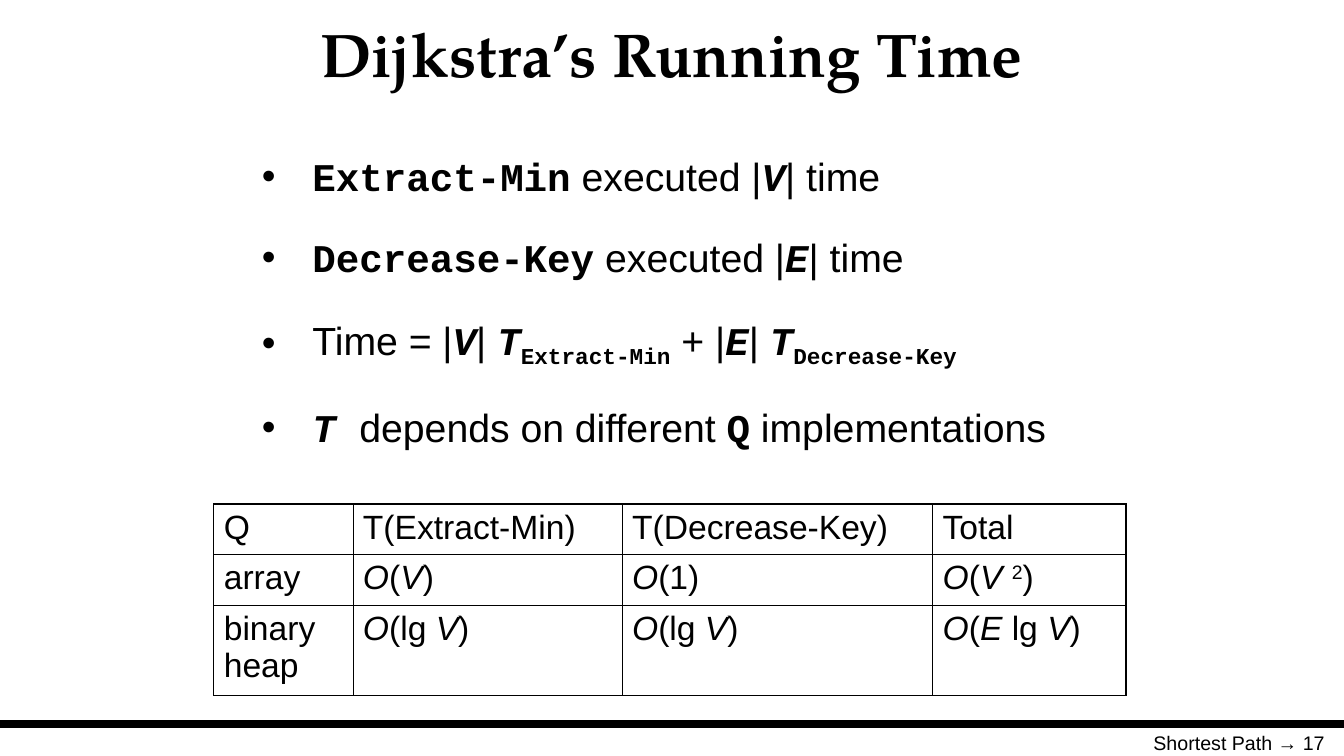
"""Build the slide on the running time of Dijkstra's algorithm."""
from dataclasses import dataclass
from typing import NamedTuple, Sequence

from lxml.etree import SubElement
from pptx import Presentation
from pptx.dml.color import RGBColor
from pptx.enum.shapes import MSO_CONNECTOR
from pptx.enum.text import MSO_ANCHOR, PP_ALIGN
from pptx.oxml.ns import qn
from pptx.util import Inches, Pt

BLACK = "000000"
SANS, MONO, SERIF = "Arial", "Courier New", "TeX Gyre Pagella"
OUTER_BORDER, INNER_BORDER = 1.08, 0.45


@dataclass(frozen=True)
class Style:
    font: str = SANS
    bold: bool = False
    italic: bool = False
    baseline: int = 0


PLAIN = Style()
ITALIC = Style(italic=True)
SUPERSCRIPT = Style(baseline=30)
CODE = Style(MONO, bold=True)
VARIABLE = Style(MONO, bold=True, italic=True)
SUBSCRIPT = Style(MONO, bold=True, baseline=-25)
HEADING = Style(SERIF, bold=True)


class Piece(NamedTuple):
    text: str
    style: Style = PLAIN


class Box(NamedTuple):
    left: float
    top: float
    width: float
    height: float


Line = Sequence[Piece]


def big_o(*pieces: Piece) -> Line:
    return [Piece("Ο", ITALIC), Piece("("), *pieces, Piece(")")]


V, E = Piece("V", ITALIC), Piece("E", ITALIC)
LOG_V = big_o(Piece("lg "), V)

BULLETS: list[Line] = [
    [Piece("Extract-Min", CODE), Piece(" executed |"), Piece("V", VARIABLE), Piece("| time")],
    [Piece("Decrease-Key", CODE), Piece(" executed |"), Piece("E", VARIABLE), Piece("| time")],
    [Piece("Time = |"), Piece("V", VARIABLE), Piece("| "),
     Piece("T", VARIABLE), Piece("Extract-Min", SUBSCRIPT),
     Piece(" + |"), Piece("E", VARIABLE), Piece("| "),
     Piece("T", VARIABLE), Piece("Decrease-Key", SUBSCRIPT)],
    [Piece("T ", VARIABLE), Piece("depends on different "), Piece("Q", CODE),
     Piece(" implementations")],
]

COLUMN_WIDTHS = [1.38, 2.67, 3.08, 1.92]
ROW_HEIGHTS = [0.5, 0.5, 0.9]
COSTS: list[list[Line]] = [
    [[Piece(name)] for name in ("Q", "T(Extract-Min)", "T(Decrease-Key)", "Total")],
    [[Piece("array")], big_o(V), big_o(Piece("1")),
     big_o(Piece("V ", ITALIC), Piece("2", SUPERSCRIPT))],
    [[Piece("binary heap")], LOG_V, LOG_V, big_o(E, Piece(" lg "), V)],
]


def color(value: str) -> RGBColor:
    return RGBColor.from_string(value)


def write_line(paragraph, line: Line, size: float) -> None:
    for piece in line:
        run = paragraph.add_run()
        run.text = piece.text
        font, style = run.font, piece.style
        font.name, font.size = style.font, Pt(size)
        font.bold, font.italic = style.bold, style.italic
        font.color.rgb = color(BLACK)
        if style.baseline:
            run._r.get_or_add_rPr().set("baseline", str(style.baseline * 1000))


def add_text_frame(slide, box: Box, anchor=MSO_ANCHOR.TOP):
    shape = slide.shapes.add_textbox(*map(Inches, box))
    frame = shape.text_frame
    frame.word_wrap = True
    frame.vertical_anchor = anchor
    return frame


def add_label(slide, box: Box, piece: Piece, size: float, align, anchor=MSO_ANCHOR.TOP) -> None:
    paragraph = add_text_frame(slide, box, anchor).paragraphs[0]
    paragraph.alignment = align
    write_line(paragraph, [piece], size)


def add_bullet(paragraph) -> None:
    properties = paragraph._p.get_or_add_pPr()
    properties.set("marL", str(Inches(0.5)))
    properties.set("indent", str(Inches(-0.5)))
    bullet_color = SubElement(properties, qn("a:buClr"))
    SubElement(bullet_color, qn("a:srgbClr"), val=BLACK)
    SubElement(properties, qn("a:buFont"), typeface=SANS)
    SubElement(properties, qn("a:buChar"), char="•")


def add_bullet_list(slide, box: Box, lines: Sequence[Line]) -> None:
    frame = add_text_frame(slide, box)
    frame.margin_top = Inches(0.17)
    for index, line in enumerate(lines):
        paragraph = frame.add_paragraph() if index else frame.paragraphs[0]
        paragraph.line_spacing = 1.2
        paragraph.space_before = Pt(8.8 if index else 0)
        paragraph.space_after = Pt(8.8)
        add_bullet(paragraph)
        write_line(paragraph, line, 28)


def set_borders(cell, outer_sides: dict[str, bool]) -> None:
    properties = cell._tc.get_or_add_tcPr()
    for position, (side, is_outer) in enumerate(outer_sides.items()):
        width = Pt(OUTER_BORDER if is_outer else INNER_BORDER)
        border = SubElement(properties, qn(f"a:ln{side}"), w=str(width))
        fill = SubElement(border, qn("a:solidFill"))
        SubElement(fill, qn("a:srgbClr"), val=BLACK)
        properties.insert(position, border)


def add_cost_table(slide, left: float, top: float) -> None:
    last_row, last_column = len(ROW_HEIGHTS) - 1, len(COLUMN_WIDTHS) - 1
    table = slide.shapes.add_table(
        len(ROW_HEIGHTS), len(COLUMN_WIDTHS), Inches(left), Inches(top),
        Inches(sum(COLUMN_WIDTHS)), Inches(sum(ROW_HEIGHTS))).table
    table.first_row = table.horz_banding = False
    for column, width in zip(table.columns, COLUMN_WIDTHS):
        column.width = Inches(width)
    for row, height in zip(table.rows, ROW_HEIGHTS):
        row.height = Inches(height)
    for r, lines in enumerate(COSTS):
        for c, line in enumerate(lines):
            cell = table.cell(r, c)
            cell.fill.background()
            set_borders(cell, {"L": c == 0, "R": c == last_column,
                               "T": r == 0, "B": r == last_row})
            write_line(cell.text_frame.paragraphs[0], line, 24)


def add_footer_rule(slide, top: float, width: float) -> None:
    rule = slide.shapes.add_connector(
        MSO_CONNECTOR.STRAIGHT, 0, Inches(top), Inches(width), Inches(top))
    rule.line.color.rgb = color(BLACK)
    rule.line.width = Pt(6)
    SubElement(rule._element.spPr, qn("a:effectLst"))


def main() -> None:
    presentation = Presentation()
    presentation.slide_width, presentation.slide_height = Inches(13.33), Inches(7.5)
    slide = presentation.slides.add_slide(presentation.slide_layouts[6])
    add_footer_rule(slide, 7.18, 13.33)
    add_label(slide, Box(9.58, 7.2, 3.66, 0.52), Piece("Shortest Path → 17"), 14, PP_ALIGN.RIGHT)
    add_label(slide, Box(0.07, 0.07, 13.19, 0.9), Piece("Dijkstra’s Running Time", HEADING),
              44, PP_ALIGN.CENTER, MSO_ANCHOR.MIDDLE)
    add_bullet_list(slide, Box(2.5, 1.25, 8.5, 3.25), BULLETS)
    add_cost_table(slide, 2.12, 5)
    presentation.save("out.pptx")


if __name__ == "__main__":
    main()
